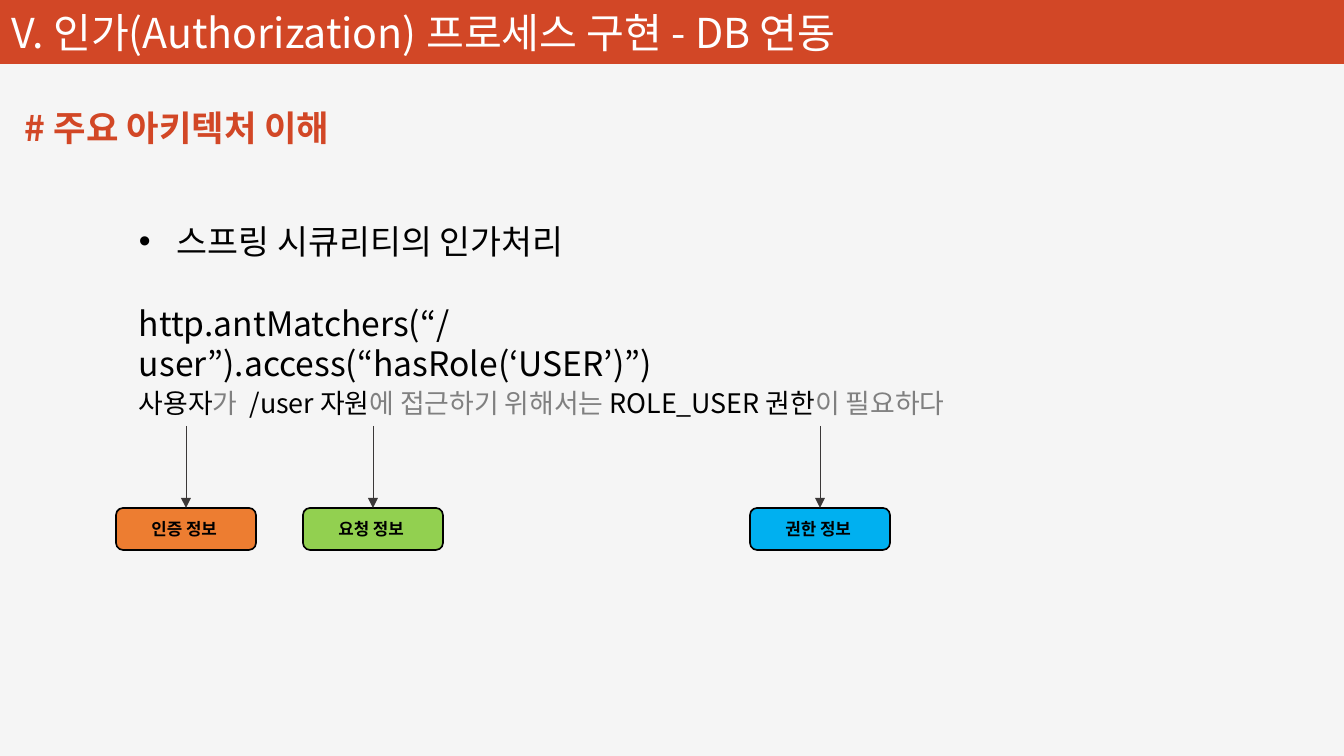
from dataclasses import dataclass

from lxml.etree import SubElement
from pptx import Presentation
from pptx.dml.color import RGBColor
from pptx.enum.shapes import MSO_CONNECTOR, MSO_SHAPE
from pptx.enum.text import MSO_ANCHOR, MSO_AUTO_SIZE, PP_ALIGN
from pptx.oxml.ns import qn
from pptx.util import Emu, Pt

PX = 914400 / 121
SLIDE_WIDTH, SLIDE_HEIGHT = 1344, 756


@dataclass(frozen=True)
class Theme:
    font: str = "Noto Sans CJK KR"
    background: str = "F5F5F5"
    accent: str = "D24726"
    white: str = "FFFFFF"
    black: str = "000000"
    muted: str = "808080"
    arrow: str = "3B3838"
    authentication: str = "ED7D31"
    request: str = "92D050"
    authority: str = "00B0F0"
    title_size: float = 24.5
    heading_size: float = 21
    body_size: float = 20
    sentence_size: float = 16
    label_size: float = 10


THEME = Theme()


def px(length):
    return Emu(round(length * PX))


def rgb(color):
    return RGBColor.from_string(color)


def add_runs(paragraph, parts, size, bold=False):
    """Add (text, colour) parts with the theme font for Latin and Korean."""
    for text, color in parts:
        run = paragraph.add_run()
        run.text = text
        run.font.name = THEME.font
        run.font.size = Pt(size)
        run.font.bold = bold
        run.font.color.rgb = rgb(color)
        SubElement(run.font._element, qn("a:ea"), typeface=THEME.font)


def add_text(slide, box, parts, size, bold=False, wrap=False):
    shape = slide.shapes.add_textbox(*map(px, box))
    frame = shape.text_frame
    frame.word_wrap = wrap
    frame.auto_size = MSO_AUTO_SIZE.SHAPE_TO_FIT_TEXT
    add_runs(frame.paragraphs[0], parts, size, bold)
    return frame


def add_bullet(paragraph, indent):
    properties = paragraph._p.get_or_add_pPr()
    properties.set("marL", str(px(indent)))
    properties.set("indent", str(-px(indent)))
    SubElement(properties, qn("a:buFont"), typeface="Arial")
    SubElement(properties, qn("a:buChar"), char="•")


def add_title_bar(slide, box):
    bar = slide.shapes.add_shape(MSO_SHAPE.RECTANGLE, *map(px, box))
    bar.shadow.inherit = False
    bar.fill.solid()
    bar.fill.fore_color.rgb = rgb(THEME.accent)
    bar.line.fill.background()
    left, top, _, _ = box
    title = slide.shapes.add_textbox(*map(px, (left + 1, top - 12, 968, 74)))
    frame = title.text_frame
    frame.word_wrap = True
    frame.vertical_anchor = MSO_ANCHOR.BOTTOM
    frame.margin_left = frame.margin_right = px(11)
    frame.margin_top = frame.margin_bottom = px(5)
    text = "V. 인가(Authorization) 프로세스 구현 - DB 연동"
    add_runs(frame.paragraphs[0], [(text, THEME.white)], THEME.title_size)


def add_explanation(slide, box):
    left, top, width, _ = box
    bullet = add_text(slide, (left, top, 463, 53), [], THEME.body_size)
    add_bullet(bullet.paragraphs[0], 38)
    add_runs(bullet.paragraphs[0],
             [("스프링 시큐리티의 인가처리", THEME.black)], THEME.body_size)
    code = "http.antMatchers(“/user”).access(“hasRole(‘USER’)”)"
    add_text(slide, (left, top + 82, 824, 53), [(code, THEME.black)],
             THEME.body_size, wrap=True)
    sentence = [
        ("사용자", THEME.black),
        ("가  ", THEME.muted),
        ("/user 자원", THEME.black),
        ("에 접근하기 위해서는 ", THEME.muted),
        ("ROLE_USER 권한", THEME.black),
        ("이 필요하다", THEME.muted),
    ]
    add_text(slide, (left, top + 166, width, 45), sentence, THEME.sentence_size)


def add_arrow(slide, target, start_y):
    """Point straight down from start_y to the top of the target."""
    x = target.left + target.width // 2
    arrow = slide.shapes.add_connector(
        MSO_CONNECTOR.STRAIGHT, x, px(start_y), x, target.top)
    arrow.end_connect(target, 0)
    arrow.line.color.rgb = rgb(THEME.arrow)
    arrow.line.width = Pt(0.5)
    SubElement(arrow.line._get_or_add_ln(), qn("a:tailEnd"), type="triangle")
    SubElement(arrow._element.spPr, qn("a:effectLst"))


def add_info_box(slide, box, text, color):
    shape = slide.shapes.add_shape(MSO_SHAPE.ROUNDED_RECTANGLE, *map(px, box))
    shape.shadow.inherit = False
    shape.fill.solid()
    shape.fill.fore_color.rgb = rgb(color)
    shape.line.color.rgb = rgb(THEME.black)
    shape.line.width = Pt(1)
    frame = shape.text_frame
    frame.vertical_anchor = MSO_ANCHOR.MIDDLE
    paragraph = frame.paragraphs[0]
    paragraph.alignment = PP_ALIGN.CENTER
    add_runs(paragraph, [(text, THEME.black)], THEME.label_size, bold=True)
    return shape


def add_info_row(slide, box):
    """Place each labelled box under the words it explains."""
    left, top, _, height = box
    box_width, box_height = 140, 42
    infos = [
        (0, "인증 정보 ", THEME.authentication),
        (187, "요청 정보 ", THEME.request),
        (634, "권한 정보 ", THEME.authority),
    ]
    for offset, text, color in infos:
        info_box = (left + offset, top + height - box_height,
                    box_width, box_height)
        add_arrow(slide, add_info_box(slide, info_box, text, color), top)


def main():
    presentation = Presentation()
    presentation.slide_width = px(SLIDE_WIDTH)
    presentation.slide_height = px(SLIDE_HEIGHT)
    slide = presentation.slides.add_slide(presentation.slide_layouts[6])
    slide.background.fill.solid()
    slide.background.fill.fore_color.rgb = rgb(THEME.background)

    add_title_bar(slide, (0, 0, SLIDE_WIDTH, 64))
    add_text(slide, (13, 100, 369, 54), [("# 주요 아키텍처 이해", THEME.accent)],
             THEME.heading_size, bold=True)
    add_explanation(slide, (127, 215, 872, 211))
    add_info_row(slide, (116, 426, 774, 124))
    presentation.save("out.pptx")


if __name__ == "__main__":
    main()
